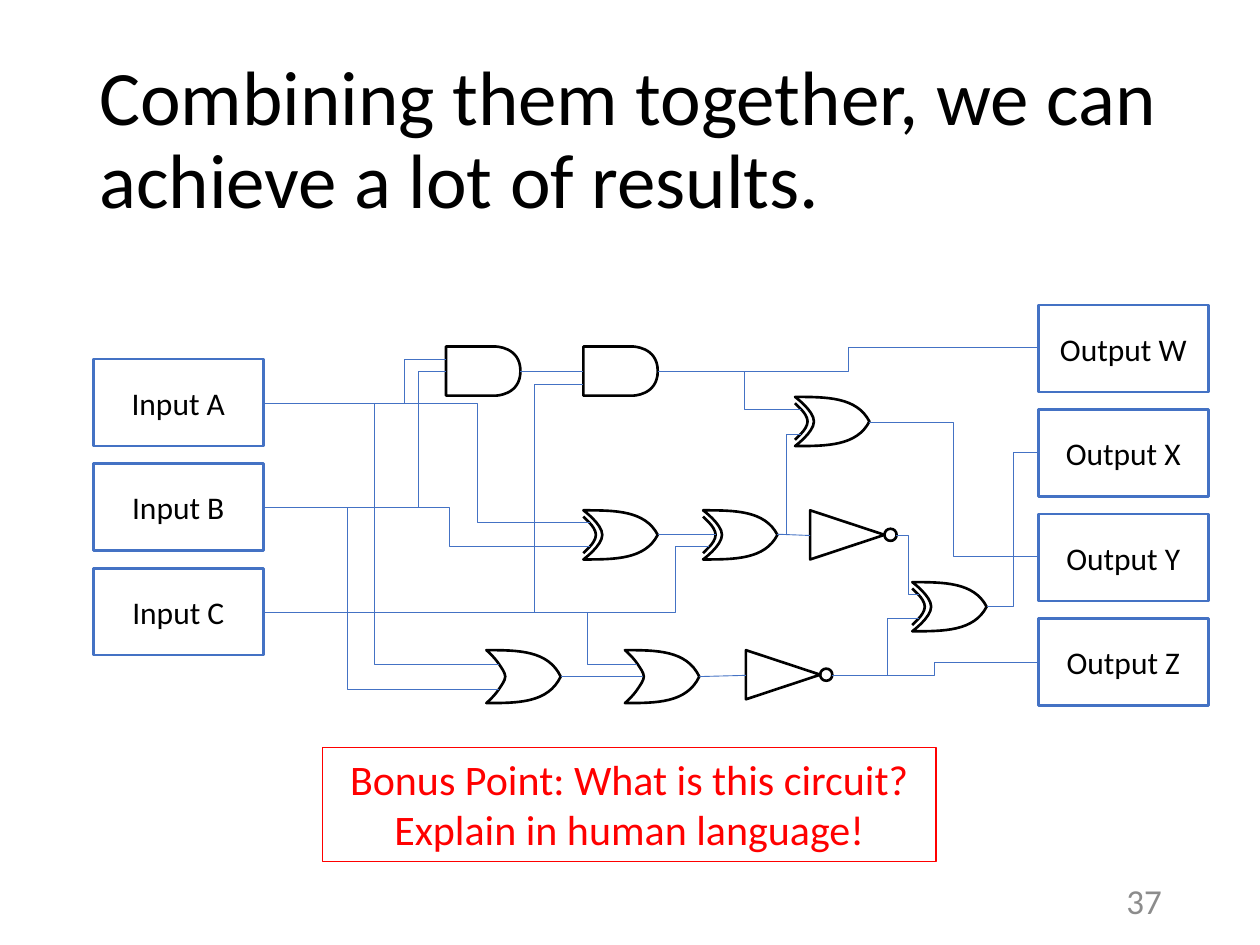
"""Builds a slide showing a logic circuit of three inputs and four outputs."""
from lxml import etree
from pptx import Presentation, util as u
from pptx.dml.color import RGBColor
from pptx.enum import shapes, text
from pptx.oxml.ns import qn

PX = 9144
FONT = "Calibri"
BLACK, WHITE, BLUE, RED, GREY = "000000", "FFFFFF", "4472C4", "FF0000", "8C8C8C"
LEFT, CENTER, RIGHT = text.PP_ALIGN.LEFT, text.PP_ALIGN.CENTER, text.PP_ALIGN.RIGHT
TOP, MIDDLE = text.MSO_ANCHOR.TOP, text.MSO_ANCHOR.MIDDLE


def px(n):
    return u.Emu(round(n * PX))


def rgb(color):
    return RGBColor.from_string(color)


def write(sp, words, size=18, color=BLACK, align=CENTER, anchor=MIDDLE, spacing=None):
    tf = sp.text_frame
    tf.word_wrap = True
    tf.vertical_anchor = anchor
    p = tf.paragraphs[0]
    p.alignment = align
    p.line_spacing = spacing
    r = p.add_run()
    r.text = words
    r.font.name, r.font.size = FONT, u.Pt(size)
    r.font.color.rgb = rgb(color)


class Circuit:
    """Holds the gate size and the slide that the circuit is drawn on."""

    def __init__(self, prs):
        self.s = prs.slides.add_slide(prs.slide_layouts[6])
        self.gate_w, self.gate_h = 59, 39

    def label(self, x, y, w, h, words, **fmt):
        write(self.s.shapes.add_textbox(px(x), px(y), px(w), px(h)), words, **fmt)

    def style(self, sp, line, width, fill=None):
        sp.shadow.inherit = False
        sp.line.color.rgb, sp.line.width = rgb(line), u.Pt(width)
        if fill:
            sp.fill.solid()
            sp.fill.fore_color.rgb = rgb(fill)
        else:
            sp.fill.background()

    def box(self, x, y, w, h, words, line=BLUE, width=1.5, fill=WHITE, **fmt):
        sp = self.s.shapes.add_shape(shapes.MSO_SHAPE.RECTANGLE, px(x), px(y), px(w), px(h))
        self.style(sp, line, width, fill)
        write(sp, words, **fmt)

    def outline(self, parent, x, y, start, *segments, close=True):
        """Draws segments of one point as lines and of three points as curves."""
        fb = parent.shapes.build_freeform(px(x + start[0]), px(y + start[1]))
        fb.add_line_segments([(px(x + a), px(y + b)) for seg in segments for a, b in seg],
                             close=close)
        sp = fb.convert_to_shape()
        self.style(sp, BLACK, 1.5)
        lines = iter(list(sp._element.iter(qn("a:lnTo"))))
        for seg in segments:
            first = next(lines)
            if len(seg) == 3:
                first.tag
                curve = etree.Element(qn("a:cubicBezTo"))
                first.addprevious(curve)
                for line in (first, next(lines), next(lines)):
                    curve.append(line[0])
                    line.getparent().remove(line)

    def and_gate(self, x, y):
        w, h, flat = self.gate_w, self.gate_h, 39
        side = [[(0, h * i / 4)] for i in (3, 2, 1, 0)]
        self.outline(self.s, x, y, (0, h), *side, [(flat, 0)],
                     [(flat, 0), (w, 0), (w, h / 2)], [(w, h), (flat, h), (flat, h)])

    def front(self, h):
        tip = (self.gate_w, h / 2)
        return [(25, 0), (49, 0), tip], [(49, h), (25, h), (0, h)]

    def or_gate(self, x, y):
        h = 42
        self.outline(self.s, x, y, (0, 0), *self.front(h),
                     [(0, h), (6, 37), (10, 31)], [(12, 28), (15, 24), (15, 21)],
                     [(15, 18), (12, 14), (10, 11)], [(6, 5), (0, 0), (0, 0)])

    def xor_gate(self, x, y):
        h = self.gate_h
        grp = self.s.shapes.add_group_shape()
        self.outline(grp, x, y, (0, 0), *self.front(h),
                     [(0, h), (15, 28), (15, h / 2)], [(15, 11), (0, 0), (0, 0)])
        self.outline(grp, x, y, (0, 5), [(0, 5), (2, 7), (5, 10)],
                     [(7, 12), (10, 16), (10, h / 2)], [(10, 23), (7, 27), (5, 29)],
                     [(2, 32), (0, 34), (0, 34)], close=False)

    def not_gate(self, x, y):
        w, h, d = self.gate_w, self.gate_h, 9.6
        grp = self.s.shapes.add_group_shape()
        self.outline(grp, x, y, (0, 0), *[[(0, h * i / 4)] for i in (1, 2, 3, 4)], [(w, h / 2)])
        m, near, far = d / 2, d * 0.22, d * 0.78
        self.outline(grp, x + w, y + h / 2 - m, (d, m),
                     [(d, far), (far, d), (m, d)], [(near, d), (0, far), (0, m)],
                     [(0, near), (near, 0), (m, 0)], [(far, 0), (d, near), (d, m)])

    def wire(self, x1, y1, x2, y2, bend=None):
        kind = shapes.MSO_CONNECTOR.ELBOW if bend else shapes.MSO_CONNECTOR.STRAIGHT
        sp = self.s.shapes.add_connector(kind, px(x1), px(y1), px(x2), px(y2))
        sp.line.color.rgb, sp.line.width = rgb(BLUE), u.Pt(0.5)
        pr = sp._element.spPr
        etree.SubElement(pr, qn("a:effectLst"))
        if bend:
            av = pr.find(qn("a:prstGeom")).get_or_add_avLst()
            adj = round((bend - x1) / (x2 - x1) * 100000)
            etree.SubElement(av, qn("a:gd"), name="adj1", fmla=f"val {adj}")


def main():
    prs = Presentation()
    prs.slide_width, prs.slide_height = px(1000), px(750)
    c = Circuit(prs)
    c.label(69, 40, 862, 145, "Combining them together, we can achieve a lot of results.",
            size=44, align=LEFT, spacing=0.9)
    c.label(865, 695, 67, 40, "37", size=20, color=GREY, align=RIGHT)
    c.box(256, 593, 487, 91, "Bonus Point: What is this circuit? Explain in human language!",
          line=RED, width=0.75, fill=None, size=24, color=RED, anchor=TOP)
    for kind, names, x, y in (("Input", "ABC", 74, 285), ("Output", "WXYZ", 824, 242)):
        for i, name in enumerate(names):
            c.box(x, y + 83 * i, 135, 69, f"{kind} {name}")

    for gate, places in (
        (c.and_gate, [(354, 275), (463, 275)]),
        (c.or_gate, [(386, 516), (496, 516)]),
        (c.xor_gate, [(463, 405), (558, 405), (631, 315), (724, 462)]),
        (c.not_gate, [(592, 516), (643, 405)]),
    ):
        for x, y in places:
            gate(x, y)

    input_x, output_x = 210, 824
    in_a, in_b, in_c = 320, 403, 486
    for y, x2, y2, bend in (
        (in_a, 354, 285, 321), (in_a, 468, 415, 379), (in_a, 396, 527, 297),
        (in_b, 354, 295, 332), (in_b, 468, 434, 357), (in_b, 396, 547, 276),
        (in_c, 463, 305, 424), (in_c, 563, 434, 536), (in_c, 506, 527, 466),
    ):
        c.wire(input_x, y, x2, y2, bend)
    for x, y, y2, bend in ((522, 295, 276, 673), (783, 481, 359, 804),
                           (690, 335, 442, 757), (660, 536, 526, 742)):
        c.wire(x, y, output_x, y2, bend)
    for ends in (
        (413, 295, 463, 295), (522, 424, 568, 424), (445, 537, 510, 537),
        (555, 537, 592, 536), (617, 424, 643, 425),
        (617, 424, 636, 345, 624), (522, 295, 636, 325, 591),
        (660, 536, 729, 491, 704), (711, 425, 729, 472, 721),
    ):
        c.wire(*ends)
    prs.save("out.pptx")


if __name__ == "__main__":
    main()
